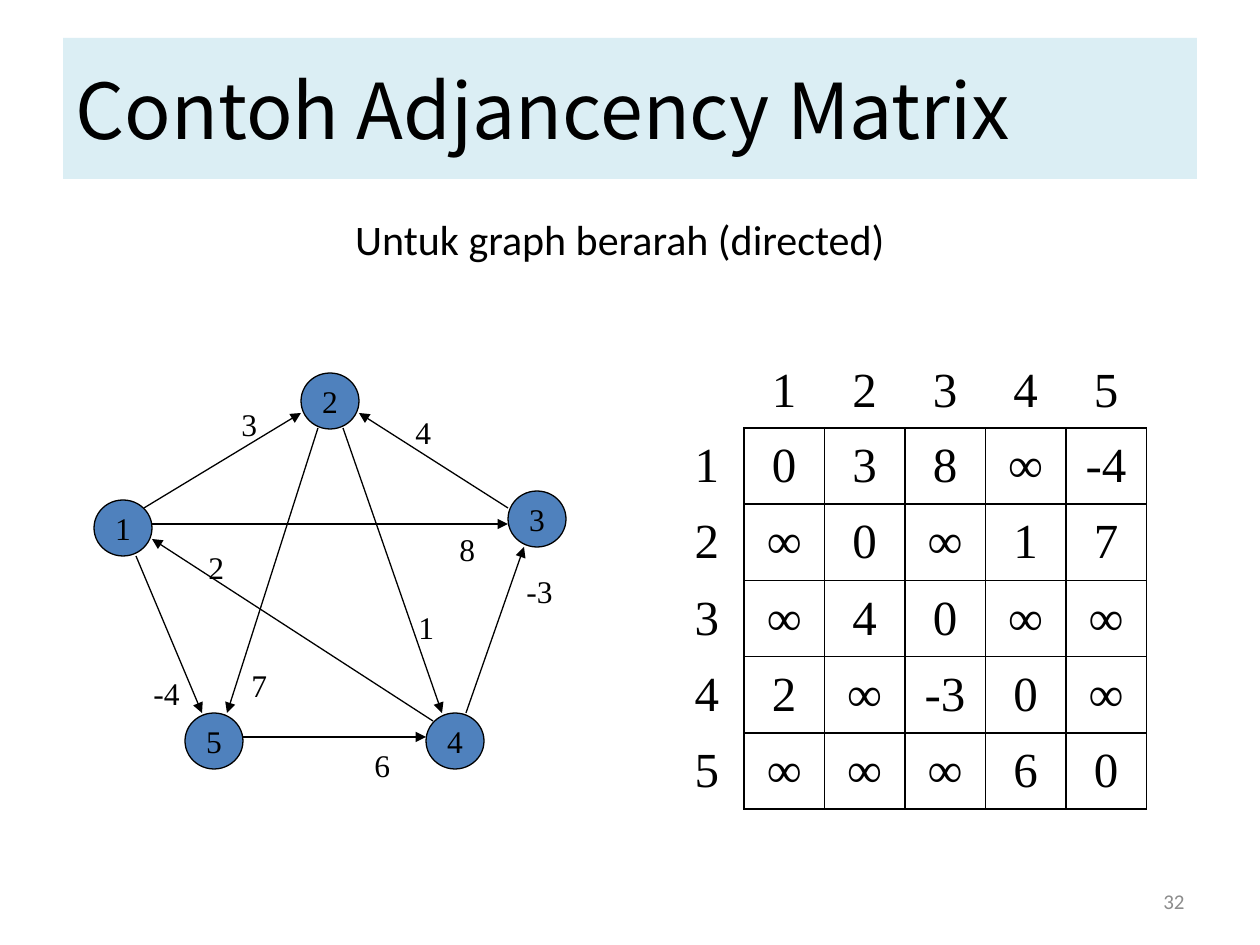
from lxml import etree
from pptx import Presentation, util as u
from pptx.dml.color import RGBColor
from pptx.enum import shapes, text
from pptx.oxml import ns

# Content, lengths in px
TITLE = "Contoh Adjancency Matrix"
SUBTITLE = "Untuk graph berarah (directed)"
PAGE_NUMBER = "32"
NODES = {"1": (94, 500), "2": (301, 373), "3": (508, 491),
         "4": (426, 713), "5": (185, 713)}
NODE_SIZE = (58, 56)
# start, end, weight, position of the weight label
EDGES = [
    ((144, 508), (301, 413), "3", (229, 399)),
    ((508, 508), (359, 413), "4", (403, 407)),
    ((466, 713), (524, 547), "-3", (514, 566)),
    ((243, 737), (426, 737), "6", (362, 740)),
    ((136, 556), (202, 713), "-4", (141, 668)),
    ((318, 428), (227, 713), "7", (239, 660)),
    ((343, 428), (442, 713), "1", (406, 602)),
    ((433, 721), (152, 539), "2", (196, 542)),
    ((152, 524), (508, 524), "8", (447, 524)),
]
MATRIX = [
    ["", "1", "2", "3", "4", "5"],
    ["1", "0", "3", "8", "∞", "-4"],
    ["2", "∞", "0", "∞", "1", "7"],
    ["3", "∞", "4", "0", "∞", "∞"],
    ["4", "2", "∞", "-3", "0", "∞"],
    ["5", "∞", "∞", "∞", "6", "0"],
]
COLUMN_WIDTHS = [74] + [80.5] * 5
ROW_HEIGHTS = [75] + [76.25] * 5
SERIF, SANS, BLACK = "Times New Roman", "Calibri", "000000"
NO_STYLE = "{2D5ABB26-0587-4C30-8999-92F81FD0307C}"
ALIGN = text.PP_ALIGN


def px(length):
    return u.Emu(round(length * u.Inches(1) / 126))


def rgb(color):
    return RGBColor.from_string(color)


def write(frame, words, size, font, align, color=BLACK,
          anchor=text.MSO_ANCHOR.MIDDLE):
    frame.text = words
    frame.vertical_anchor = anchor
    paragraph = frame.paragraphs[0]
    paragraph.alignment = align
    paragraph.font.size = u.Pt(size)
    paragraph.font.name = font
    paragraph.font.color.rgb = rgb(color)


def add_text(left, top, width, height, words, size, font, align, **options):
    box = slide.shapes.add_textbox(*map(px, (left, top, width, height)))
    write(box.text_frame, words, size, font, align, **options)
    box.text_frame.word_wrap = False


def add_border(cell, side):
    line = etree.SubElement(cell._tc.get_or_add_tcPr(), ns.qn(f"a:ln{side}"),
                            w=str(u.Pt(1)))
    fill = etree.SubElement(line, ns.qn("a:solidFill"))
    etree.SubElement(fill, ns.qn("a:srgbClr"), val=BLACK)


presentation = Presentation()
presentation.slide_width, presentation.slide_height = px(1260), px(945)
slide = presentation.slides.add_slide(presentation.slide_layouts[5])

# Title, subtitle and page number
title = slide.shapes.title
title.left, title.top, title.width, title.height = map(px, (63, 38, 1134, 141))
title.fill.solid()
title.fill.fore_color.rgb = rgb("DBEEF4")
write(title.text_frame, TITLE, 44, "Noto Sans CJK KR", ALIGN.LEFT)
add_text(317, 207, 606, 63, SUBTITLE, 24, SANS, ALIGN.CENTER,
         anchor=text.MSO_ANCHOR.TOP)
add_text(903, 876, 294, 50, PAGE_NUMBER, 12, SANS, ALIGN.RIGHT, color="8C8C8C")

# Adjacency matrix: borders around the values only
size = len(MATRIX)
frame = slide.shapes.add_table(size, size, px(670), px(353),
                               px(sum(COLUMN_WIDTHS)), px(sum(ROW_HEIGHTS)))
table = frame.table
table.first_row = table.horz_banding = False
table._tbl.tblPr.find(ns.qn("a:tableStyleId")).text = NO_STYLE
for column, width in zip(table.columns, COLUMN_WIDTHS):
    column.width = px(width)
for row, height in zip(table.rows, ROW_HEIGHTS):
    row.height = px(height)
for i, values in enumerate(MATRIX):
    for j, value in enumerate(values):
        cell = table.cell(i, j)
        write(cell.text_frame, value, 28, SERIF, ALIGN.CENTER)
        cell.vertical_anchor = text.MSO_ANCHOR.MIDDLE
        if i and j:
            sides = "LRTB"
        else:
            sides = "R" if i else "B" if j else ""
        for side in sides:
            add_border(cell, side)
        cell.fill.background()

# Graph nodes
for name, position in NODES.items():
    node = slide.shapes.add_shape(shapes.MSO_SHAPE.OVAL,
                                  *map(px, position + NODE_SIZE))
    node.name = f"Node {name}"
    node.shadow.inherit = False
    node.fill.solid()
    node.fill.fore_color.rgb = rgb("4F81BD")
    node.line.color.rgb = rgb(BLACK)
    node.line.width = u.Pt(0.75)
    write(node.text_frame, name, 18, SERIF, ALIGN.CENTER)
    node.text_frame.word_wrap = False

# Directed edges with their weights
for start, end, weight, (left, top) in EDGES:
    edge = slide.shapes.add_connector(shapes.MSO_CONNECTOR.STRAIGHT,
                                      *map(px, start + end))
    edge.line.color.rgb = rgb(BLACK)
    edge.line.width = u.Pt(0.75)
    etree.SubElement(edge.line._get_or_add_ln(), ns.qn("a:tailEnd"),
                     type="triangle")
    etree.SubElement(edge._element.spPr, ns.qn("a:effectLst"))
    add_text(left, top, 52 if len(weight) > 1 else 42, 50, weight, 18, SERIF,
             ALIGN.LEFT, anchor=text.MSO_ANCHOR.TOP)

presentation.save("out.pptx")
